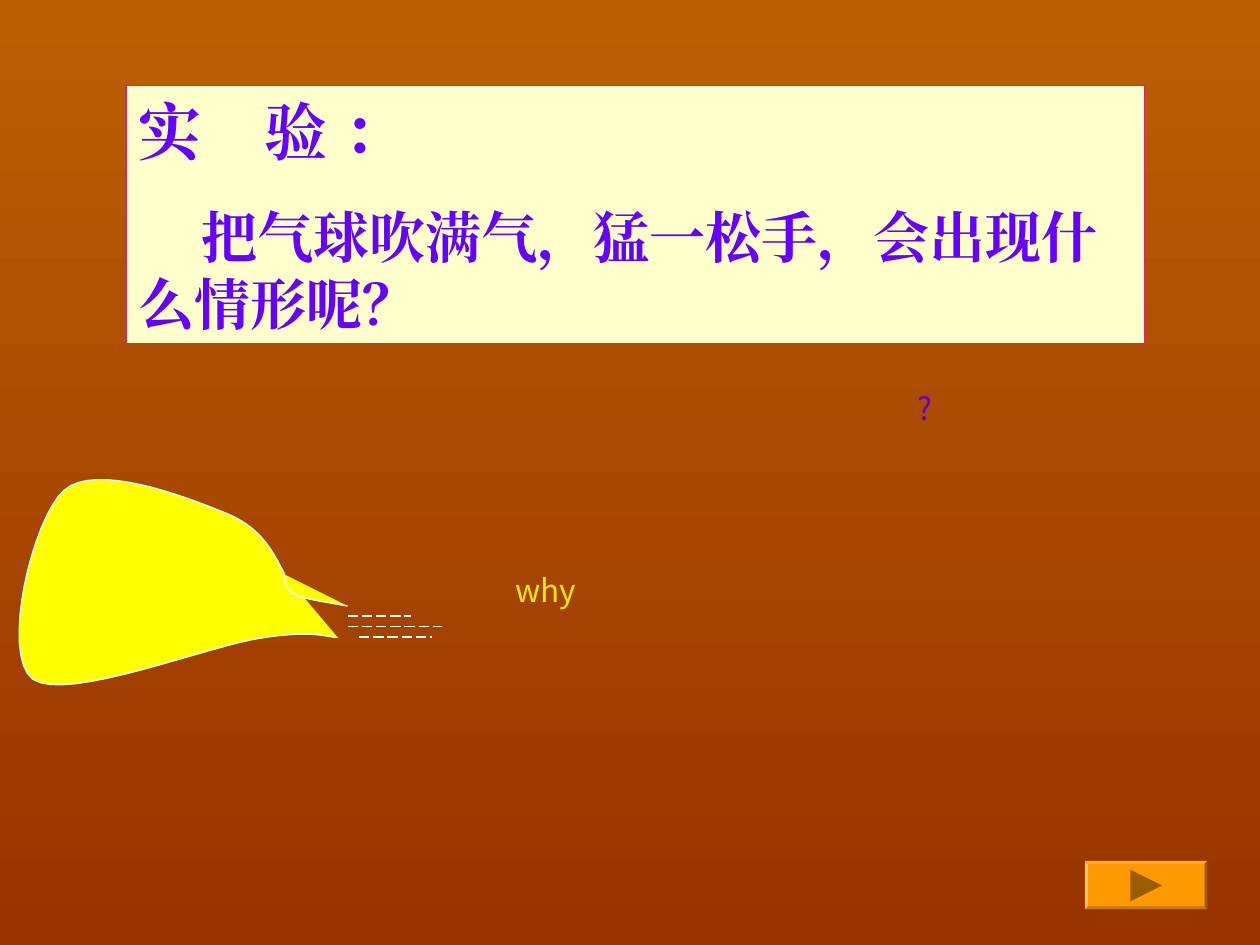
"""Build the balloon experiment slide."""
from dataclasses import dataclass

from lxml.etree import SubElement
from pptx import Presentation
from pptx.dml.color import RGBColor
from pptx.enum.dml import MSO_LINE
from pptx.enum.shapes import MSO_CONNECTOR, MSO_SHAPE
from pptx.enum.text import MSO_ANCHOR, MSO_AUTO_SIZE, PP_ALIGN
from pptx.oxml.ns import qn
from pptx.util import Pt

SANS = "Noto Sans CJK SC"
SERIF = "Times New Roman"


@dataclass
class Puff:
    """A dashed line of air, level at y."""
    left: float
    right: float
    y: float


@dataclass
class Word:
    """A short word with a two-colour fill."""
    text: str
    left: float
    top: float
    width: float
    height: float
    tints: tuple[str, str]


BODY = [(162.7, 328.3), (155.5, 313.9), (148.3, 300.2), (126.7, 292.3),
        (105.8, 283.7), (54.7, 264.2), (36.7, 280.1),
        (18.7, 295.9), (0, 373.7), (18.7, 388.1),
        (38.2, 401.8), (121.7, 367.9), (151.2, 364.3),
        (180, 360), (187.2, 364.3), (193, 364.3)]
NECK = [(162.7, 328.3), (162.7, 332.6), (162.7, 337), (169.2, 339.8),
        (175, 342.7), (187.2, 344.2), (198.7, 346.3)]
ARROW = [(646, 497), (664, 506), (646, 515)]
PUFFS = [Puff(198.7, 234.7, 352), Puff(198.7, 252.7, 358), Puff(205.2, 247, 364)]
WORDS = [Word("why", 171.4, 322.6, 280.8, 146, ("FFE701", "FE3E02")),
         Word("?", 461.5, 218.9, 134, 179.3, ("6600CC", "CC00CC"))]


def tint(code: str) -> RGBColor:
    """Turn a hex string into a colour."""
    return RGBColor.from_string(code)


def blend(fill, codes: tuple[str, str]) -> None:
    """Give a fill a gradient from top to bottom."""
    fill.gradient()
    fill.gradient_angle = 270
    for stop, code in zip(fill.gradient_stops, codes):
        stop.color.rgb = tint(code)


def paint(shape, fill: str, line: str | None = None) -> None:
    """Set the fill and the thin edge of a shape."""
    shape.fill.solid()
    shape.fill.fore_color.rgb = tint(fill)
    if line:
        shape.line.color.rgb = tint(line)
        shape.line.width = Pt(0.75)
    else:
        shape.line.fill.background()


def write(para, text: str, *, size: float, font: str, color: str | None = None,
          tints: tuple[str, str] | None = None, bold: bool = False,
          align=PP_ALIGN.LEFT, before: float = 0, indent: float = 0,
          tab: float | None = None) -> None:
    """Write one formatted run into a paragraph."""
    para.alignment = align
    para.space_before = Pt(before)
    props = para._p.get_or_add_pPr()
    props.set("indent", str(Pt(indent)))
    if tab:
        tabs = SubElement(props, qn("a:tabLst"))
        SubElement(tabs, qn("a:tab"), pos=str(Pt(tab)), algn="l")
    run = para.add_run()
    run.text = text
    face = run.font
    face.size, face.bold = Pt(size), bold
    if tints:
        blend(face.fill, tints)
    else:
        face.color.rgb = tint(color)
    face.name = font
    SubElement(run._r.get_or_add_rPr(), qn("a:ea"), typeface=font)


def curve(knots: list, steps: int = 16) -> list:
    """Sample a chain of cubic curves."""
    spots = [knots[0]]
    for i in range(0, len(knots) - 1, 3):
        quad = knots[i:i + 4]
        for n in range(1, steps + 1):
            t = n / steps
            parts = ((1 - t) ** 3, 3 * t * (1 - t) ** 2, 3 * t * t * (1 - t), t ** 3)
            spots.append(tuple(sum(w * k[axis] for w, k in zip(parts, quad))
                               for axis in (0, 1)))
    return spots


def trace(shapes, spots: list, fill: str, line: str | None = None,
          close: bool = False) -> None:
    """Draw a filled outline through the spots."""
    first, *rest = [(Pt(x), Pt(y)) for x, y in spots]
    maker = shapes.build_freeform(*first)
    maker.add_line_segments(rest, close=close)
    shape = maker.convert_to_shape()
    shape.shadow.inherit = False
    paint(shape, fill, line)


def blow(shapes, puff: Puff) -> None:
    """Draw one dashed line of air."""
    line = shapes.add_connector(MSO_CONNECTOR.STRAIGHT, Pt(puff.left), Pt(puff.y),
                                Pt(puff.right), Pt(puff.y))
    line.line.color.rgb = tint("FFFFFF")
    line.line.width = Pt(0.75)
    line.line.dash_style = MSO_LINE.LONG_DASH
    SubElement(line._element.spPr, qn("a:effectLst"))


def label(shapes, word: Word) -> None:
    """Place one gradient word."""
    frame = shapes.add_textbox(Pt(word.left), Pt(word.top), Pt(word.width),
                               Pt(word.height)).text_frame
    frame.word_wrap = True
    write(frame.paragraphs[0], word.text, size=18, font=SANS, tints=word.tints,
          align=PP_ALIGN.CENTER)


def task(box) -> None:
    """Fill the title box with the heading and the question."""
    box.left, box.top, box.width, box.height = Pt(72), Pt(49), Pt(582), Pt(147.5)
    paint(box, "FFFFCC", "DE2273")
    frame = box.text_frame
    frame.word_wrap = True
    frame.auto_size = MSO_AUTO_SIZE.NONE
    frame.vertical_anchor = MSO_ANCHOR.TOP
    look = {"font": SERIF, "color": "6600FF", "bold": True}
    write(frame.paragraphs[0], "实\t验 ：", size=36, tab=51.5, **look)
    write(frame.add_paragraph(), "把气球吹满气，猛一松手，会出现什么情形呢？",
          size=32, before=20, indent=36, **look)


def button(shapes) -> None:
    """Draw the bevelled button with its arrow."""
    base = shapes.add_shape(MSO_SHAPE.BEVEL, Pt(620), Pt(492), Pt(70), Pt(27.5))
    base.adjustments[0] = 0.06
    base.shadow.inherit = False
    paint(base, "FF9900")
    trace(shapes, ARROW, "995C00", close=True)


def main() -> None:
    """Build and save the slide."""
    deck = Presentation()
    deck.slide_width, deck.slide_height = Pt(720), Pt(540)
    slide = deck.slides.add_slide(deck.slide_layouts[5])
    blend(slide.background.fill, ("BB5F03", "993300"))
    shapes = slide.shapes
    for knots in (BODY, NECK):
        trace(shapes, curve(knots), "FFFF00", "FFFFFF")
    for puff in PUFFS:
        blow(shapes, puff)
    for word in WORDS:
        label(shapes, word)
    task(shapes.title)
    button(shapes)
    deck.save("out.pptx")


if __name__ == "__main__":
    main()
